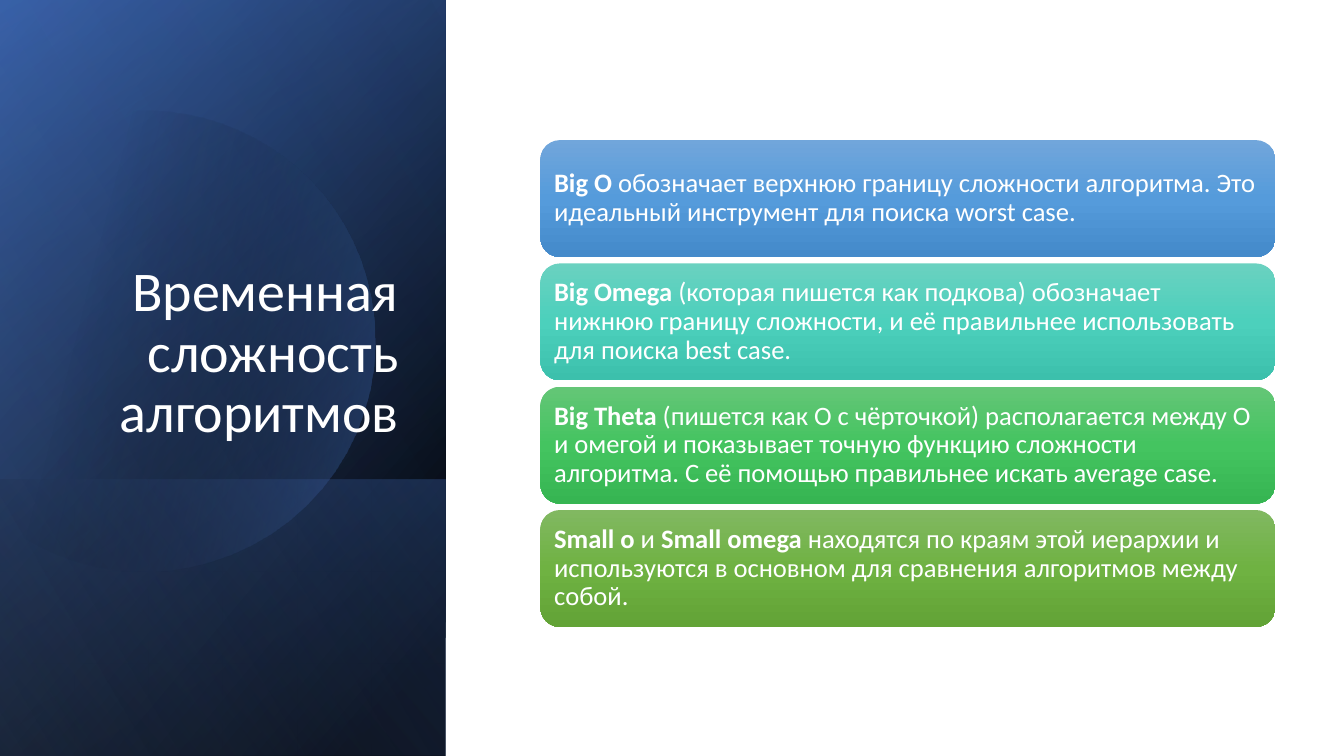
from pptx import Presentation
from pptx.dml.color import RGBColor
from pptx.enum.shapes import MSO_SHAPE as Shape
from pptx.enum.text import MSO_ANCHOR as Anchor, PP_ALIGN as Align
from pptx.oxml.ns import qn
from pptx.util import Pt
from lxml.etree import SubElement

PX = 9144
FONT = "Calibri"
WHITE = "FFFFFF"
TITLE = "Временная сложность алгоритмов"
CARDS = [
    (["71A6DB", "559BDB", "448ACA"],
     [("Big O ", True),
      ("обозначает верхнюю границу сложности алгоритма. Это идеальный инструмент "
       "для поиска worst case.", False)]),
    (["6AD1C0", "4CD0BC", "3CC0AC"],
     [("Big Omega", True),
      (" (которая пишется как подкова) обозначает нижнюю границу сложности, "
       "и её правильнее использовать для поиска best case.", False)]),
    (["64C677", "44C460", "36B552"],
     [("Big Theta", True),
      (" (пишется как О с чёрточкой) располагается между О и омегой "
       "и показывает точную функцию сложности алгоритма. "
       "С её помощью правильнее искать average case.", False)]),
    (["81B861", "6FB242", "62A336"],
     [("Small o ", True), ("и ", False), ("Small omega ", True),
      ("находятся по краям этой иерархии и используются в основном "
       "для сравнения алгоритмов между собой.", False)]),
]
CIRCLE_START = (149, 110)
CIRCLE_CURVES = [
    [(246, 112), (335, 177), (363, 275)],
    [(398, 397), (328, 523), (207, 558)],
    [(131, 580), (53, 561), (-3, 514)],
    [(-3, 514), (-15, 503), (-15, 503)],
    [(-15, 503), (-15, 175), (-15, 175)],
    [(-15, 175), (0, 161), (0, 161)],
    [(23, 142), (50, 128), (80, 119)],
    [(103, 113), (126, 110), (149, 110)],
]


def emu(*lengths):
    """Turn px lengths into whole EMU."""
    return [round(length * PX) for length in lengths]


def color(hex_code):
    """Return the colour of a hex string."""
    return RGBColor.from_string(hex_code)


def paint(shape, stops, angle):
    """Fill a shape with a gradient of (position, colour, opacity) stops, without outline."""
    shape.shadow.inherit = False
    shape.line.fill.background()
    shape.fill.gradient()
    gradient = shape.element.spPr.find(qn("a:gradFill"))
    stop_list = gradient.find(qn("a:gsLst"))
    stop_list.clear()
    for position, hex_code, opacity in stops:
        stop = SubElement(stop_list, qn("a:gs"), pos=str(position * 1000))
        tint = SubElement(stop, qn("a:srgbClr"), val=hex_code)
        if opacity < 100:
            SubElement(tint, qn("a:alpha"), val=str(opacity * 1000))
    gradient.find(qn("a:lin")).set("ang", str(angle * 60000))


def style(paragraph, size):
    """Set the common look of a paragraph."""
    paragraph.line_spacing = 0.9
    paragraph.font.name = FONT
    paragraph.font.size = Pt(size)
    paragraph.font.color.rgb = color(WHITE)


def add_layer(slide, box, stops, angle):
    """Cover a box with a mirrored rectangle turned by a quarter."""
    x, y, width, height = box
    shift = (width - height) / 2
    layer = slide.shapes.add_shape(
        Shape.RECTANGLE, *emu(x + shift, y - shift, height, width))
    layer.rotation = 90
    layer.element.spPr.find(qn("a:xfrm")).set("flipH", "1")
    paint(layer, stops, angle)


def curve_points(start, curves, steps=16):
    """Return points along a chain of cubic curves."""
    points = []
    for first, second, end in curves:
        for step in range(1, steps + 1):
            t = step / steps
            u = 1 - t
            points.append(tuple(
                u**3 * a + 3 * u * u * t * b + 3 * u * t * t * c + t**3 * d
                for a, b, c, d in zip(start, first, second, end)))
        start = end
    return points


def add_circle(slide, origin):
    """Draw the cropped translucent circle from the panel's origin."""
    left, top = origin
    start, *rest = [emu(left + x, top + y) for x, y in
                    [CIRCLE_START, *curve_points(CIRCLE_START, CIRCLE_CURVES)]]
    builder = slide.shapes.build_freeform(*start)
    builder.add_line_segments(rest, close=True)
    paint(builder.convert_to_shape(), [(29, "000000", 0), (100, "4472C4", 43)], 14)


def add_title_panel(slide, box):
    """Build the dark side panel with the slide title."""
    x, y, width, height = box
    add_layer(slide, box, [(8, "000000", 100), (100, "2F5597", 100)], 50)
    add_layer(slide, box, [(0, "000000", 0), (99, "4472C4", 46)], 30)
    add_layer(slide, (x, y + height - 274, width, 274),
              [(2, "4472C4", 29), (100, "000000", 30)], 130)
    add_circle(slide, (x, y))
    add_layer(slide, box, [(0, "000000", 0), (99, "8FAADC", 11)], 120)
    title = slide.shapes.add_textbox(*emu(x + 64, y + 184, width - 101, 262)).text_frame
    title.word_wrap = True
    title.vertical_anchor = Anchor.BOTTOM
    paragraph = title.paragraphs[0]
    paragraph.text = TITLE
    paragraph.alignment = Align.RIGHT
    style(paragraph, 40)


def add_card(slide, box, shades, runs):
    """Add one rounded card with its definition."""
    card = slide.shapes.add_shape(Shape.ROUNDED_RECTANGLE, *emu(*box))
    paint(card, [(position, shade, 100) for position, shade in zip((0, 50, 100), shades)], 90)
    frame = card.text_frame
    frame.word_wrap = True
    frame.vertical_anchor = Anchor.MIDDLE
    frame.margin_left, frame.margin_top, frame.margin_right, frame.margin_bottom = emu(8, 8, 8, 8)
    paragraph = frame.paragraphs[0]
    paragraph.alignment = Align.LEFT
    style(paragraph, 19)
    for text, bold in runs:
        run = paragraph.add_run()
        run.text = text
        run.font.bold = bold


def add_cards(slide, box, card_height=116):
    """Spread the cards evenly down a box."""
    x, y, width, height = box
    pitch = (height - card_height) / (len(CARDS) - 1)
    for index, (shades, runs) in enumerate(CARDS):
        add_card(slide, (x, y + index * pitch, width, card_height), shades, runs)


def main():
    """Build and save the slide."""
    deck = Presentation()
    deck.slide_width, deck.slide_height = emu(1333, 750)
    slide = deck.slides.add_slide(deck.slide_layouts[6])
    add_title_panel(slide, (0, 0, 442, 750))
    add_cards(slide, (536, 139, 729, 483))
    deck.save("out.pptx")


if __name__ == "__main__":
    main()
